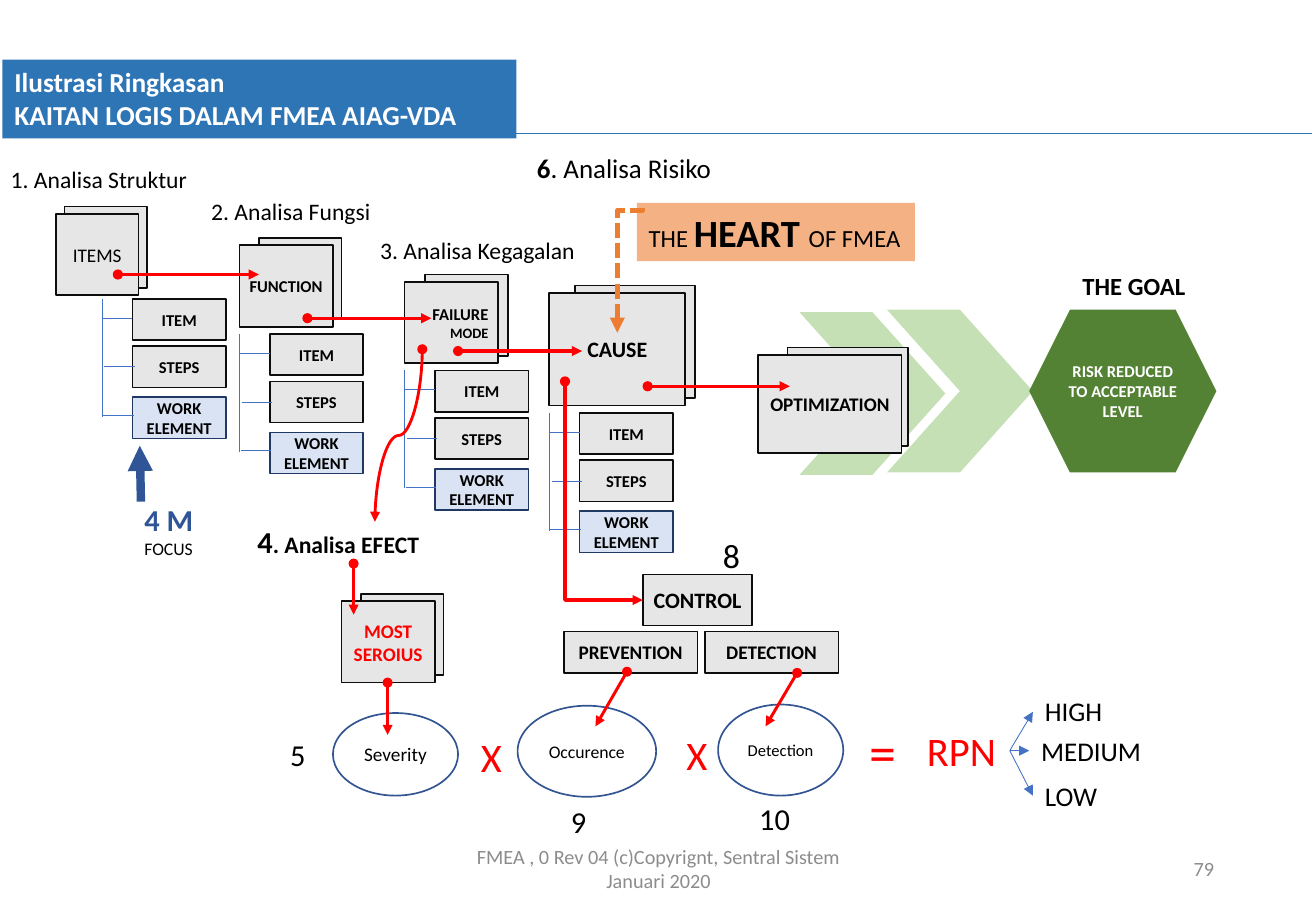
"""Build the slide on the logical links in an FMEA."""
import pptx
import pptx.dml.color
import pptx.enum.dml
import pptx.enum.shapes
import pptx.enum.text
import pptx.oxml
import pptx.oxml.ns
import pptx.util
from lxml import etree

RGBColor = pptx.dml.color.RGBColor
Inches = pptx.util.Inches
SHAPE = pptx.enum.shapes.MSO_SHAPE
CONNECTOR = pptx.enum.shapes.MSO_CONNECTOR
ALIGN = pptx.enum.text.PP_ALIGN
ANCHOR = pptx.enum.text.MSO_ANCHOR
qn = pptx.oxml.ns.qn

BLACK = RGBColor(0x00, 0x00, 0x00)
WHITE = RGBColor(0xFF, 0xFF, 0xFF)
RED = RGBColor(0xFF, 0x00, 0x00)
GRAY = RGBColor(0xE7, 0xE6, 0xE6)
FOOTER_GRAY = RGBColor(0x8C, 0x8C, 0x8C)
EDGE = RGBColor(0x0D, 0x0D, 0x0D)
PALE_BLUE = RGBColor(0xDA, 0xE3, 0xF3)
NAVY = RGBColor(0x20, 0x38, 0x64)
OVAL_BLUE = RGBColor(0x32, 0x54, 0x91)
TREE_BLUE = RGBColor(0x44, 0x72, 0xC4)
FOCUS_BLUE = RGBColor(0x2F, 0x55, 0x97)
TITLE_BLUE = RGBColor(0x2E, 0x75, 0xB6)
PALE_GREEN = RGBColor(0xC5, 0xE0, 0xB4)
GREEN = RGBColor(0x54, 0x82, 0x35)
PEACH = RGBColor(0xF4, 0xB1, 0x83)
ORANGE = RGBColor(0xED, 0x7D, 0x31)


class Board:
    """Hold the font and the current slide, and draw each kind of element."""

    font = "Calibri"

    def __init__(self, slide):
        self.slide = slide

    def fill_text(self, shape, paragraphs, align=ALIGN.CENTER, anchor=ANCHOR.MIDDLE,
                  wrap=True, grow=False, insets=(0.08, 0.04)):
        frame = shape.text_frame
        frame.word_wrap = wrap
        if grow:
            frame.auto_size = pptx.enum.text.MSO_AUTO_SIZE.SHAPE_TO_FIT_TEXT
        frame.vertical_anchor = anchor
        frame.margin_left = frame.margin_right = Inches(insets[0])
        frame.margin_top = frame.margin_bottom = Inches(insets[1])
        for index, runs in enumerate(paragraphs):
            paragraph = frame.add_paragraph() if index else frame.paragraphs[0]
            paragraph.alignment = align
            for text, size, bold, color in runs:
                run = paragraph.add_run()
                run.text = text
                run.font.name = self.font
                run.font.size = pptx.util.Pt(size)
                run.font.bold = bold
                run.font.color.rgb = color

    def shape(self, kind, box, fill, edge=None):
        shape = self.slide.shapes.add_shape(kind, *map(Inches, box))
        shape.shadow.inherit = False
        shape.fill.solid()
        shape.fill.fore_color.rgb = fill
        if edge is None:
            shape.line.fill.background()
        else:
            shape.line.color.rgb = edge
            shape.line.width = pptx.util.Pt(1)
        return shape

    def card(self, box, text, size=9.8, color=BLACK, bold=True, fill=GRAY, edge=EDGE,
             kind=SHAPE.RECTANGLE):
        self.fill_text(self.shape(kind, box, fill, edge), [[(text, size, bold, color)]])

    def text(self, box, paragraphs, align=ALIGN.LEFT, anchor=ANCHOR.TOP,
             wrap=False, grow=True, insets=(0.1, 0.05)):
        textbox = self.slide.shapes.add_textbox(*map(Inches, box))
        self.fill_text(textbox, paragraphs, align, anchor, wrap, grow, insets)

    def label(self, box, text, size, color=BLACK, bold=False):
        self.text(box, [[(text, size, bold, color)]])

    def line(self, start, end, color, width, head=None, tail=None,
             kind=CONNECTOR.STRAIGHT, dash=None):
        connector = self.slide.shapes.add_connector(kind, *map(Inches, start + end))
        connector.line.color.rgb = color
        connector.line.width = pptx.util.Pt(width)
        if dash:
            connector.line.dash_style = dash
        properties = connector._element.spPr
        outline = properties.find(qn("a:ln"))
        for tag, end_type in (("a:headEnd", head), ("a:tailEnd", tail)):
            if end_type:
                etree.SubElement(outline, qn(tag), type=end_type)
        etree.SubElement(properties, qn("a:effectLst"))
        return connector

    def flow(self, start, end, width=2):
        self.line(start, end, RED, width, "oval", "triangle")

    def turned(self, frame, degrees, preset, color, width, head=None, flip=False,
               adjust=None, dash=None):
        left, top, wide, high = frame
        connector = self.line((left, top), (left + wide, top + high), color, width,
                              head, "triangle", CONNECTOR.ELBOW, dash)
        transform = connector._element.spPr.find(qn("a:xfrm"))
        transform.set("rot", str(degrees * 60000))
        if flip:
            transform.set("flipH", "1")
        geometry = connector._element.spPr.find(qn("a:prstGeom"))
        geometry.set("prst", preset)
        if adjust is not None:
            etree.SubElement(geometry.find(qn("a:avLst")), qn("a:gd"), name="adj1",
                             fmla=f"val {round(adjust * 100000)}")

    def tree(self, left, top):
        for text, offset, fill, edge in (("ITEM", 0, GRAY, EDGE), ("STEPS", 0.39, GRAY, EDGE),
                                         ("WORK ELEMENT", 0.81, PALE_BLUE, NAVY)):
            self.card((left, top + offset, 0.77, 0.34), text, fill=fill, edge=edge)
        trunk = left - 0.25
        self.line((trunk, top), (trunk, top + 0.97), TREE_BLUE, 0.5)
        for shift, offset in ((0, 0.16), (0.02, 0.56), (0.01, 0.96)):
            self.line((left + shift, top + offset), (trunk + shift, top + offset), TREE_BLUE, 0.5)


def main():
    presentation = pptx.Presentation()
    presentation.slide_width = Inches(10.83)
    presentation.slide_height = Inches(7.5)
    board = Board(presentation.slides.add_slide(presentation.slide_layouts[6]))

    for left, top in ((7.3, 2.55), (6.58, 2.57)):
        board.shape(SHAPE.CHEVRON, (left, top, 1.2, 1.34), PALE_GREEN)

    for back_left, left, top, back_width, width, height, text, size, color, bold in (
            (0.53, 0.46, 1.76, 0.68, 0.68, 0.67, "ITEMS", 11.4, BLACK, False),
            (2.13, 1.97, 2.02, 0.68, 0.77, 0.67, "FUNCTION", 9.8, BLACK, True),
            (3.5, 3.33, 2.32, 0.68, 0.77, 0.67, None, 9.8, BLACK, True),
            (4.73, 4.52, 2.41, 0.99, 1.12, 0.93, "CAUSE", 13, BLACK, True),
            (2.97, 2.81, 4.95, 0.68, 0.77, 0.67, "MOST SEROIUS", 11.4, RED, True),
            (6.48, 6.24, 2.92, 0.99, 1.18, 0.81, "OPTIMIZATION", 11.4, BLACK, True)):
        board.shape(SHAPE.RECTANGLE, (back_left, top - 0.06, back_width, height), GRAY, EDGE)
        if text:
            board.card((left, top, width, height), text, size, color, bold)
        else:
            failure = board.shape(SHAPE.RECTANGLE, (left, top, width, height), GRAY, EDGE)
            board.fill_text(failure, [[("FAILURE ", size, bold, color),
                                       ("MODE", 8.5, bold, color)]], align=ALIGN.RIGHT)

    for left, top in ((1.09, 2.46), (2.22, 2.75), (3.58, 3.05), (4.77, 3.4)):
        board.tree(left, top)

    for box, text, size in (((2.74, 5.87, 1.03, 0.68), "Severity", 11.4),
                            ((5.91, 5.8, 1.03, 0.75), "Detection", 9.8),
                            ((4.26, 5.81, 1.14, 0.75), "Occurence", 10.5)):
        board.card(box, text, size, bold=False, fill=WHITE, edge=OVAL_BLUE, kind=SHAPE.OVAL)
    board.card((5.29, 4.73, 0.9, 0.42), "CONTROL", 13)
    board.card((4.64, 5.2, 1.1, 0.34), "PREVENTION", 11.4)
    board.card((5.8, 5.2, 1.1, 0.34), "DETECTION", 11.4)
    board.card((8.47, 2.55, 1.54, 1.34), "RISK REDUCED TO ACCEPTABLE LEVEL", color=WHITE,
               fill=GREEN, edge=None, kind=SHAPE.HEXAGON)

    for start, end in (((0.97, 2.26), (2.13, 2.26)), ((2.53, 2.62), (3.55, 2.62)),
                       ((3.77, 2.89), (4.79, 2.89)), ((5.33, 3.18), (6.5, 3.18))):
        board.flow(start, end)
    for start, end in (((5.16, 5.53), (4.9, 5.98)), ((6.56, 5.54), (6.3, 5.98)),
                       ((3.19, 5.62), (3.19, 6.05)), ((2.91, 4.64), (2.91, 5.06))):
        board.flow(start, end, 1.75)
    board.turned((4.07, 3.72, 1.8, 0.64), 270, "bentConnector2", RED, 2, "oval", flip=True)
    board.turned((2.57, 3.39, 1.42, 0.39), 90, "curvedConnector3", RED, 1.7, "oval", adjust=0.5)

    heart = board.shape(SHAPE.RECTANGLE, (5.24, 1.67, 2.29, 0.48), PEACH)
    board.fill_text(heart, [[("THE ", 14.6, False, BLACK), ("HEART ", 22.8, True, BLACK),
                             ("OF FMEA", 14.6, False, BLACK)]],
                    ALIGN.LEFT, ANCHOR.TOP, wrap=False, grow=True, insets=(0.1, 0.05))
    board.turned((4.67, 2.12, 1.03, 0.21), 90, "bentConnector3", ORANGE, 3, adjust=0.02,
                 dash=pptx.enum.dml.MSO_LINE.SQUARE_DOT)

    title = board.shape(SHAPE.RECTANGLE, (0.02, 0.49, 4.23, 0.65), TITLE_BLUE)
    board.fill_text(title, [[("Ilustrasi Ringkasan", 16.2, True, WHITE)],
                            [("KAITAN LOGIS DALAM FMEA AIAG-VDA", 16.2, True, WHITE)]],
                    ALIGN.LEFT, ANCHOR.TOP, grow=True, insets=(0.1, 0.05))
    board.line((4.25, 1.1), (10.8, 1.1), TITLE_BLUE, 0.75)

    board.text((1.09, 4.08, 0.62, 0.59), [[("4 M", 18, True, FOCUS_BLUE)],
                                          [("FOCUS", 10.5, False, BLACK)]])
    board.line((1.16, 4.13), (1.15, 3.67), FOCUS_BLUE, 5, tail="triangle")
    board.text((1.97, 4.34, 1.63, 0.24),
               [[("4", 18, True, BLACK), (". Analisa EFECT", 14, True, BLACK)]],
               ALIGN.CENTER, ANCHOR.MIDDLE, wrap=True, grow=False, insets=(0.08, 0.04))
    board.text((4.32, 1.2, 1.65, 0.37),
               [[("6", 16, True, BLACK), (". Analisa Risiko", 16, False, BLACK)]])
    board.label((8.81, 2.18, 1.06, 0.35), "THE GOAL", 14.6, bold=True)

    for box, text, size, color in (
            ((-0.01, 1.31, 1.67, 0.34), "1. Analisa Struktur", 14, BLACK),
            ((1.64, 1.57, 1.53, 0.34), "2. Analisa Fungsi", 14, BLACK),
            ((3.03, 1.89, 1.82, 0.34), "3. Analisa Kegagalan", 14, BLACK),
            ((2.29, 6.01, 0.33, 0.4), "5", 18, BLACK),
            ((5.85, 4.35, 0.34, 0.44), "8", 20, BLACK),
            ((4.6, 6.56, 0.33, 0.4), "9", 18, BLACK),
            ((6.15, 6.54, 0.46, 0.4), "10", 18, BLACK),
            ((3.86, 5.98, 0.38, 0.5), "X", 24, RED),
            ((5.55, 5.96, 0.38, 0.5), "X", 24, RED),
            ((7.06, 5.87, 0.43, 0.64), "=", 32, RED),
            ((7.53, 5.93, 0.78, 0.5), "RPN", 24, RED),
            ((8.5, 5.67, 0.68, 0.37), "HIGH", 16, BLACK),
            ((8.47, 6, 1.03, 0.37), "MEDIUM", 16, BLACK),
            ((8.5, 6.37, 0.64, 0.37), "LOW", 16, BLACK)):
        board.label(box, text, size, color)
    for level in ((8.5, 5.86), (8.47, 6.18), (8.5, 6.55)):
        board.line((8.31, 6.18), level, TREE_BLUE, 0.5, tail="triangle")

    for box, text, align in (
            ((3.59, 6.95, 3.66, 0.4), "FMEA , 0 Rev 04 (c)Copyrignt, Sentral Sistem Januari 2020",
             ALIGN.CENTER),
            ((7.65, 6.95, 2.44, 0.4), "79", ALIGN.RIGHT)):
        board.text(box, [[(text, 12, False, FOOTER_GRAY)]], align, ANCHOR.MIDDLE,
                   wrap=True, grow=False)
    presentation.save("out.pptx")


if __name__ == "__main__":
    main()
